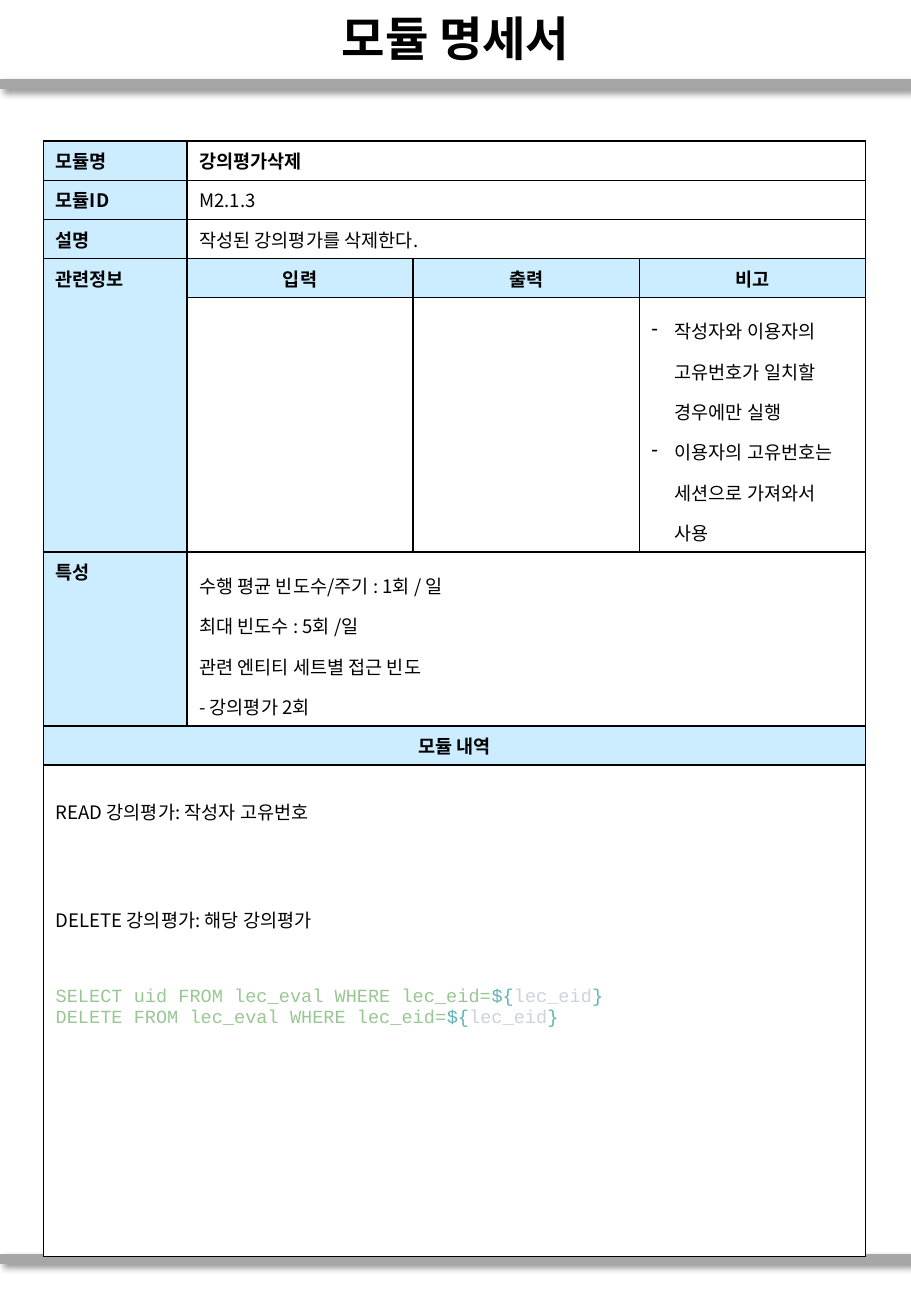
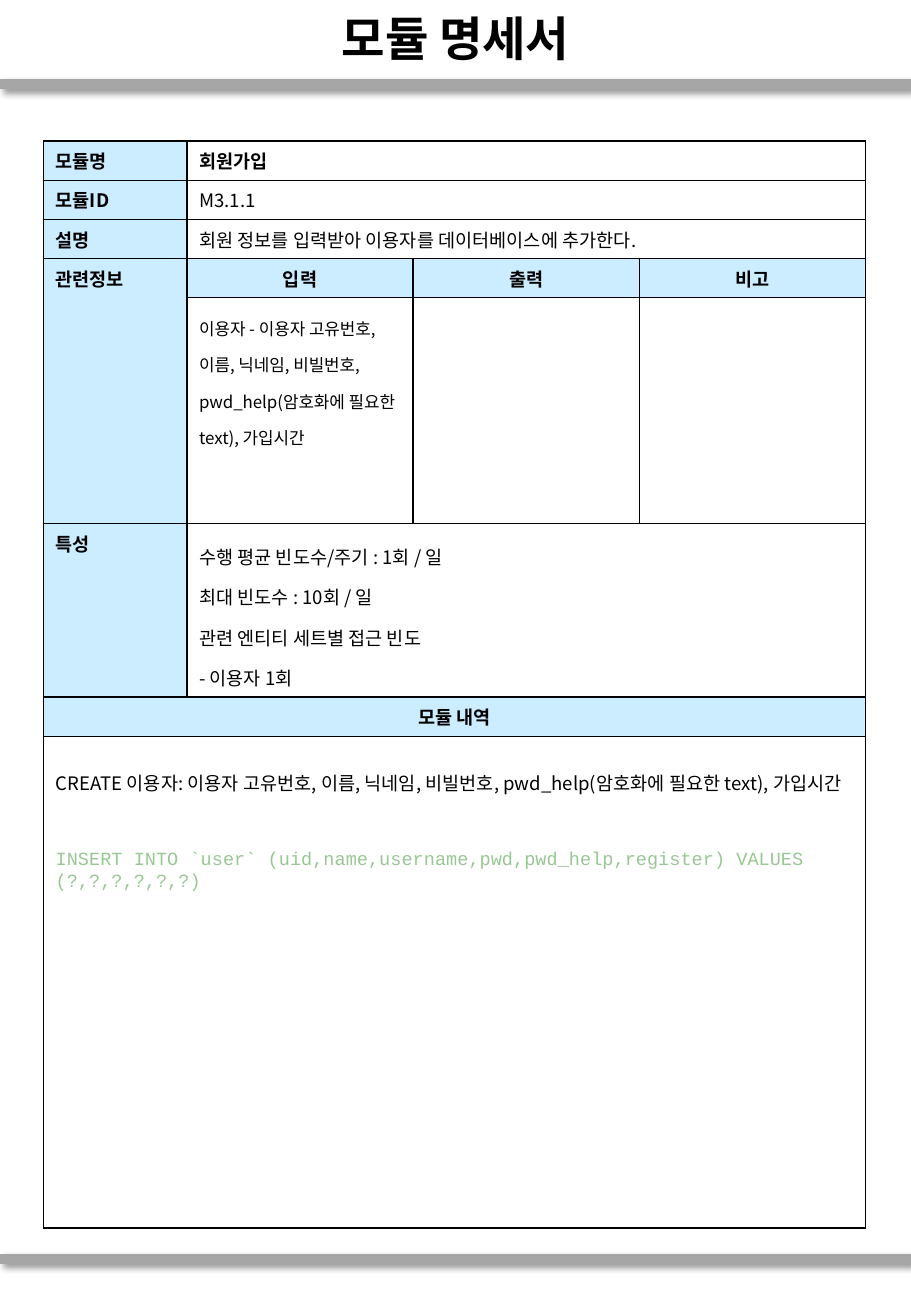
from dataclasses import dataclass

from lxml.etree import SubElement
from pptx import Presentation
from pptx.dml.color import RGBColor
from pptx.enum.shapes import MSO_CONNECTOR
from pptx.enum.text import MSO_ANCHOR, PP_ALIGN
from pptx.oxml import parse_xml
from pptx.oxml.ns import nsdecls, qn
from pptx.util import Cm, Pt


@dataclass(frozen=True)
class Theme:
    ink: str = "000000"
    paper: str = "FFFFFF"
    head: str = "CCECFF"
    band: str = "A6A6A6"
    code: str = "99C794"
    mark: str = "5FB3B3"
    name: str = "CDD3DE"
    sans: str = "Noto Sans CJK KR"
    mono: str = "Courier New"
    title: int = 28
    text: int = 11
    small: int = 10


THEME = Theme()
WIDTH, HEIGHT = 19.05, 27.51
BANDS = (1.75, 26.31)
COLS = (3, 4.73, 4.73, 4.73)
ROWS = (0.8, 0.8, 0.8, 0.8, 4.72, 3.6, 0.8, 10.28)


def write(frame, lines, size=THEME.text, font=THEME.sans, color=THEME.ink,
          bold=False, align=PP_ALIGN.LEFT, space=1.0, before=0, bullet=None,
          more=False):
    """Write lines; a line is a string or a list of (text, color) pairs."""
    for i, line in enumerate(lines):
        fresh = more or i > 0
        para = frame.add_paragraph() if fresh else frame.paragraphs[0]
        para.alignment = align
        para.line_spacing = space
        if before and i == 0:
            para.space_before = Pt(before)
        if bullet:
            props = para._p.get_or_add_pPr()
            indent = Cm(0.48)
            props.set("marL", str(indent))
            props.set("indent", str(-indent))
            SubElement(props, qn("a:buChar")).set("char", bullet)
        for text, tint in [(line, color)] if isinstance(line, str) else line:
            run = para.add_run()
            run.text = text
            run.font.size = Pt(size)
            run.font.bold = bold
            run.font.name = font
            run.font.color.rgb = RGBColor.from_string(tint)
            east = SubElement(run.font._element, qn("a:ea"))
            east.set("typeface", font)


class Deck:
    """Holds the style and the current slide."""

    def __init__(self, theme):
        self.theme = theme
        self.show = Presentation()
        self.show.slide_width = Cm(WIDTH)
        self.show.slide_height = Cm(HEIGHT)
        self.base = self.show.slide_layouts[5]
        self.slide = None

    def start(self, title):
        self.slide = self.show.slides.add_slide(self.base)
        if len(self.show.slides) == 1:
            for y in BANDS:
                self.band(y)
        shape = self.slide.shapes.title
        shape.left, shape.top = Cm(0), Cm(0.03)
        shape.width, shape.height = Cm(WIDTH), Cm(1.52)
        shape.text_frame.vertical_anchor = MSO_ANCHOR.MIDDLE
        write(shape.text_frame, [title], size=self.theme.title, bold=True,
              align=PP_ALIGN.CENTER)

    def band(self, y):
        """Draw a shadowed band and move it to the shared layout."""
        line = self.slide.shapes.add_connector(
            MSO_CONNECTOR.STRAIGHT, Cm(0), Cm(y), Cm(WIDTH), Cm(y))
        line.line.width = Pt(6)
        line.line.color.rgb = RGBColor.from_string(self.theme.band)
        line.element.spPr.append(parse_xml(
            f'<a:effectLst {nsdecls("a")}>'
            f'<a:outerShdw blurRad="{Pt(4)}" dist="{Pt(3)}" dir="2700000" '
            'algn="tl" rotWithShape="0">'
            f'<a:srgbClr val="{self.theme.ink}"><a:alpha val="40000"/>'
            '</a:srgbClr></a:outerShdw></a:effectLst>'))
        self.base.shapes.element.append(line.element)

    def grid(self):
        """Add the empty form with its merged cells."""
        table = self.slide.shapes.add_table(
            len(ROWS), len(COLS), Cm(0.91), Cm(2.95),
            Cm(sum(COLS)), Cm(sum(ROWS))).table
        table.first_row = table.horz_banding = False
        for col, width in zip(table.columns, COLS):
            col.width = Cm(width)
        for row, height in zip(table.rows, ROWS):
            row.height = Cm(height)
        for cell in table.iter_cells():
            self.frame(cell)
        for row in (0, 1, 2, 5):
            table.cell(row, 1).merge(table.cell(row, 3))
        for row in (6, 7):
            table.cell(row, 0).merge(table.cell(row, 3))
        table.cell(3, 0).merge(table.cell(4, 0))
        return table

    def frame(self, cell):
        """Give a cell its borders and a plain fill."""
        props = cell._tc.get_or_add_tcPr()
        for side in "LRTB":
            props.append(parse_xml(
                f'<a:ln{side} {nsdecls("a")} w="{Pt(1)}"><a:solidFill>'
                f'<a:srgbClr val="{self.theme.ink}"/></a:solidFill>'
                f'</a:ln{side}>'))
        self.fill(cell, self.theme.paper)

    def fill(self, cell, color):
        cell.fill.solid()
        cell.fill.fore_color.rgb = RGBColor.from_string(color)

    def label(self, cell, text, align=PP_ALIGN.LEFT):
        self.fill(cell, self.theme.head)
        write(cell.text_frame, [text], bold=True, align=align)

    def form(self, name, code, about, info, traits, steps, query):
        table = self.grid()
        cell = table.cell
        for row, text in zip((0, 1, 2, 3, 5),
                             ("모듈명", "모듈ID", "설명", "관련정보", "특성")):
            self.label(cell(row, 0), text)
        for col, text in enumerate(("입력", "출력", "비고"), 1):
            self.label(cell(3, col), text, PP_ALIGN.CENTER)
        self.label(cell(6, 0), "모듈 내역", PP_ALIGN.CENTER)
        for row, text in enumerate((name, code, about)):
            write(cell(row, 1).text_frame, [text], bold=row == 0)
        for col, (lines, style) in info.items():
            write(cell(4, col).text_frame, lines, space=1.5, **style)
        write(cell(5, 1).text_frame, traits, space=1.5)
        body = cell(7, 0).text_frame
        for i, step in enumerate(steps):
            write(body, [step], space=2.0, before=32 * (i > 0), more=i > 0)
        write(body, query, font=self.theme.mono, color=self.theme.code,
              before=32, more=True)


def bind(text):
    """Color a query that ends in a bound name."""
    return [(text, THEME.code), ("${", THEME.mark),
            ("lec_eid", THEME.name), ("}", THEME.mark)]


def main():
    deck = Deck(THEME)
    title = "모듈 명세서"
    rate, link = "수행 평균 빈도수/주기 : 1회 / 일", "관련 엔티티 세트별 접근 빈도"
    fields = "이용자 고유번호, 이름, 닉네임, 비빌번호, pwd_help(암호화에 필요한 text), 가입시간"

    deck.start(title)
    deck.form(
        "강의평가삭제", "M2.1.3", "작성된 강의평가를 삭제한다.",
        {3: (["작성자와 이용자의 고유번호가 일치할 경우에만 실행",
              "이용자의 고유번호는 세션으로 가져와서 사용"], {"bullet": "-"})},
        [rate, "최대 빈도수 : 5회 /일", link, "- 강의평가 2회"],
        ["READ 강의평가: 작성자 고유번호", "DELETE 강의평가: 해당 강의평가"],
        [bind("SELECT uid FROM lec_eval WHERE lec_eid="),
         bind("DELETE FROM lec_eval WHERE lec_eid=")])

    deck.start(title)
    deck.form(
        "회원가입", "M3.1.1", "회원 정보를 입력받아 이용자를 데이터베이스에 추가한다.",
        {1: (["이용자 - " + fields], {"size": THEME.small})},
        [rate, "최대 빈도수 : 10회 / 일", link, "- 이용자 1회"],
        ["CREATE 이용자: " + fields],
        ["INSERT INTO `user` (uid,name,username,pwd,pwd_help,register) "
         "VALUES (?,?,?,?,?,?)"])

    deck.show.save("out.pptx")


if __name__ == "__main__":
    main()
